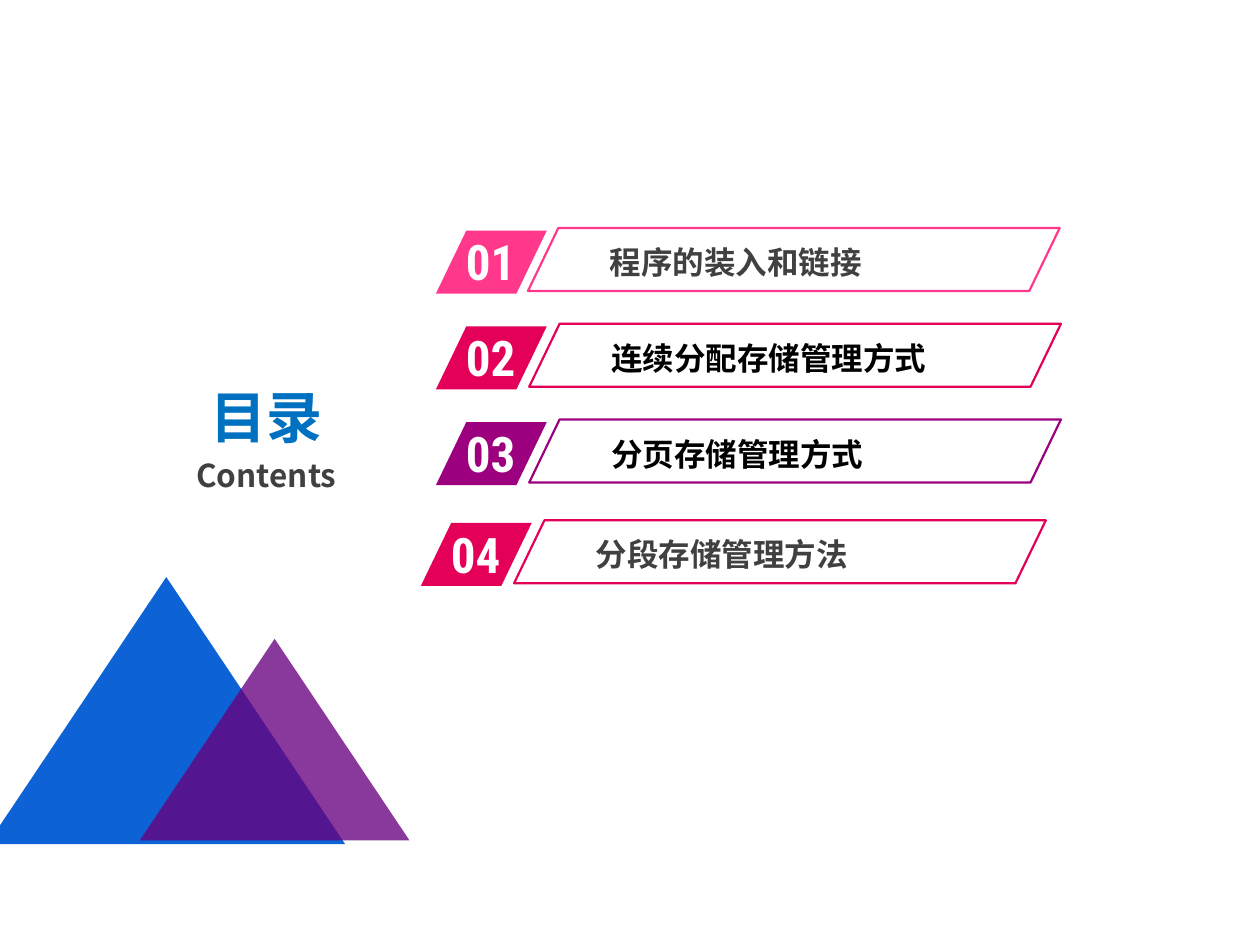
from lxml import etree
from pptx import Presentation
from pptx.dml.color import RGBColor
from pptx.enum.shapes import MSO_SHAPE
from pptx.enum.text import MSO_ANCHOR, PP_ALIGN
from pptx.oxml.ns import qn
from pptx.util import Inches, Pt

PARALLELOGRAM = MSO_SHAPE.PARALLELOGRAM
TRIANGLE = MSO_SHAPE.ISOSCELES_TRIANGLE
TOP, MIDDLE = MSO_ANCHOR.TOP, MSO_ANCHOR.MIDDLE
LEFT, CENTER = PP_ALIGN.LEFT, PP_ALIGN.CENTER
CJK, CONDENSED = "Noto Sans CJK SC", "Roboto Condensed"
SLANT = 0.482
COLORS = {
    "title": "0070C0", "gray": "404040", "black": "000000", "white": "FFFFFF",
    "pink": "FF388C", "red": "E40059", "purple": "9C007F",
    "blue": "005BD3", "violet": "68007F",
}

deck = Presentation()
deck.slide_width, deck.slide_height = Inches(10), Inches(7.5)
page = deck.slides.add_slide(deck.slide_layouts[6])


def add_text(text, left, top, width, height, size=(18,), color=("gray",),
             font=CJK, align=LEFT, anchor=TOP, inset=(0.1, 0.05), before=0):
    """Add a bold text box; each line takes its own size and colour."""
    box = page.shapes.add_textbox(Inches(left), Inches(top), Inches(width), Inches(height))
    frame = box.text_frame
    frame.word_wrap = True
    frame.vertical_anchor = anchor
    frame.margin_left = frame.margin_right = Inches(inset[0])
    frame.margin_top = frame.margin_bottom = Inches(inset[1])
    frame.text = text
    for para, points, name in zip(frame.paragraphs, size, color):
        para.alignment = align
        para.space_before = Pt(points * before)
        span = para.runs[0]
        span.font.size, span.font.bold, span.font.name = Pt(points), True, font
        span.font.color.rgb = RGBColor.from_string(COLORS[name])
        east_asian = etree.SubElement(span.font._element, qn("a:ea"))
        east_asian.set("typeface", font)


def add_figure(kind, left, top, width, height, fill=None, line=None, opacity=100):
    """Add a preset shape with a plain fill or an outline."""
    shape = page.shapes.add_shape(kind, Inches(left), Inches(top), Inches(width), Inches(height))
    shape.shadow.inherit = False
    if kind == PARALLELOGRAM:
        shape.adjustments[0] = SLANT
    if fill:
        shape.fill.solid()
        shape.fill.fore_color.rgb = RGBColor.from_string(COLORS[fill])
        if opacity < 100:
            tint = shape._element.spPr.find(qn("a:solidFill"))[0]
            etree.SubElement(tint, qn("a:alpha")).set("val", str(opacity * 1000))
    else:
        shape.fill.background()
    if line:
        shape.line.color.rgb = RGBColor.from_string(COLORS[line])
        shape.line.width = Pt(1.25)
    else:
        shape.line.fill.background()


# Heading
add_text("目录\nContents", 0.88, 3.21, 2.47, 0.54, size=(32, 18), color=("title", "gray"),
         align=CENTER, anchor=MIDDLE, before=0.2)

# Overlapping triangles
add_figure(TRIANGLE, -0.1, 4.58, 2.84, 2.12, fill="blue", opacity=95)
add_figure(TRIANGLE, 1.11, 5.07, 2.14, 1.6, fill="violet", opacity=78)

# Agenda rows: label, tag left, frame left, top, row colour, text colour
rows = [
    ("程序的装入和链接", 3.46, 4.19, 1.83, "pink", "gray"),
    ("连续分配存储管理方式", 3.46, 4.2, 2.59, "red", "black"),
    ("分页存储管理方式", 3.46, 4.2, 3.35, "purple", "black"),
    ("分段存储管理方法", 3.34, 4.08, 4.15, "red", "gray"),
]
for number, (label, tag_left, frame_left, top, accent, ink) in enumerate(rows, 1):
    add_figure(PARALLELOGRAM, tag_left, top, 0.88, 0.5, fill=accent)
    add_text(f"{number:02}", tag_left + 0.14, top - 0.04, 0.84, 0.57,
             size=(28,), color=("white",), font=CONDENSED)
    add_text(label, frame_left + 0.58, top + 0.06, 3.09, 0.38,
             color=(ink,), inset=(0.07, 0.04))
    add_figure(PARALLELOGRAM, frame_left, top - 0.02, 4.22, 0.5, line=accent)

deck.save("out.pptx")
